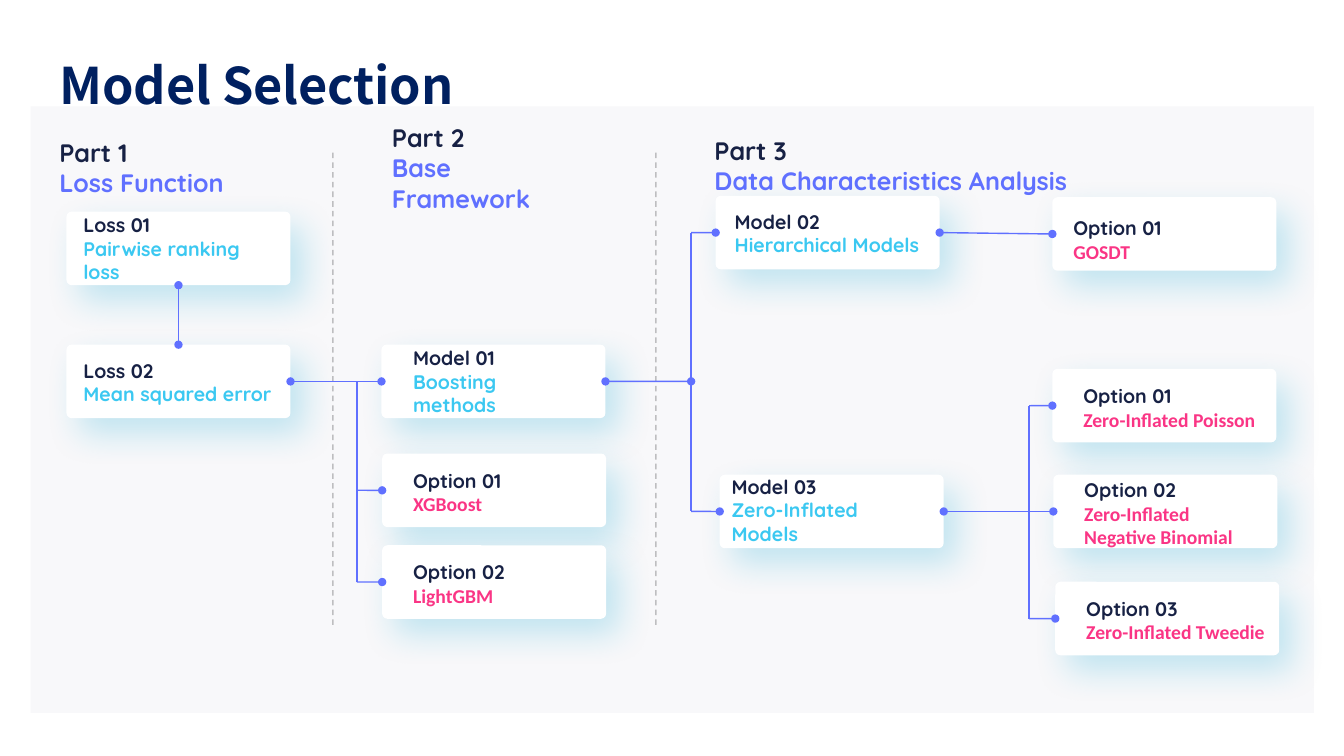
from lxml import etree
from pptx import Presentation
from pptx.dml.color import RGBColor
from pptx.enum.dml import MSO_LINE
from pptx.enum.shapes import MSO_CONNECTOR, MSO_SHAPE
from pptx.enum.text import MSO_ANCHOR, MSO_AUTO_SIZE, PP_ALIGN
from pptx.oxml.ns import qn
from pptx.util import Pt

STRAIGHT = MSO_CONNECTOR.STRAIGHT
DASH = MSO_LINE.DASH
TOP, LEFT, BOTTOM, RIGHT = range(4)
NAVY, VIOLET, CYAN, PINK = "172144", "6070FF", "3BC8F1", "FA3585"
CARD_WIDTH, CARD_HEIGHT = 160, 52.5


def set_colour(fill, colour, opacity=100):
    """Fill an area, a line or text with a hex colour, opacity in percent."""
    fill.solid()
    fill.fore_color.rgb = RGBColor.from_string(colour)
    if opacity < 100:
        colour_element = fill._xPr.find(qn("a:solidFill"))[0]
        etree.SubElement(colour_element, qn("a:alpha"), val=str(opacity * 1000))


def add_label(shapes, box, lines, size, accent, accent_font="Quicksand", first_spacing=1.0):
    """Add a text box with a navy first line and accent lines under it."""
    frame = shapes.add_textbox(*map(Pt, box)).text_frame
    frame.word_wrap = True
    frame.auto_size = MSO_AUTO_SIZE.NONE
    frame.vertical_anchor = MSO_ANCHOR.MIDDLE
    for index, line in enumerate(lines):
        paragraph = frame.add_paragraph() if index else frame.paragraphs[0]
        paragraph.line_spacing = 1.0 if index else first_spacing
        run = paragraph.add_run()
        run.text = line
        name = accent_font if index else "Quicksand"
        for attribute, value in {"name": name, "size": Pt(size), "bold": True}.items():
            setattr(run.font, attribute, value)
        set_colour(run.font.fill, accent if index else NAVY)


presentation = Presentation()
presentation.slide_width = Pt(960)
presentation.slide_height = Pt(540)
slide = presentation.slides.add_slide(presentation.slide_layouts[5])

# Title
title = slide.shapes.title
title.left, title.top, title.width, title.height = map(Pt, (-19.5, -11.5, 405.5, 93.6))
title_frame = title.text_frame
title_format = {
    "margin_left": 0, "margin_top": 0, "margin_right": 0, "margin_bottom": 0,
    "word_wrap": True, "auto_size": MSO_AUTO_SIZE.NONE, "vertical_anchor": MSO_ANCHOR.BOTTOM,
}
for attribute, value in title_format.items():
    setattr(title_frame, attribute, value)
title_paragraph = title_frame.paragraphs[0]
title_paragraph.alignment = PP_ALIGN.CENTER
title_run = title_paragraph.add_run()
title_run.text = "Model Selection"
title_font = {"name": "Noto Sans CJK SC", "size": Pt(36), "bold": True}
for attribute, value in title_font.items():
    setattr(title_run.font, attribute, value)
set_colour(title_run.font.fill, "002060")
title_properties = title_run._r.get_or_add_rPr()
title_properties.set("spc", "-10")
etree.SubElement(title_properties, qn("a:ea"), typeface="Noto Sans CJK SC")

# Panel and column dividers
panel = slide.shapes.add_shape(MSO_SHAPE.RECTANGLE, *map(Pt, (21.9, 75.9, 916.6, 433.4)))
panel.shadow.inherit = False
set_colour(panel.fill, "223063", 3)
panel.line.fill.background()

for x in (237.8, 468.5):
    divider = slide.shapes.add_connector(STRAIGHT, Pt(x), Pt(109), Pt(x), Pt(449))
    divider.line.width = Pt(1)
    set_colour(divider.line.fill, "1A1A1A", 25)
    divider.line.dash_style = DASH
    etree.SubElement(divider._element.spPr, qn("a:effectLst"))

# Column headings
for left, top, width, part, topic in (
    (35.3, 94.3, 134.6, "Part 1", "Loss Function"),
    (272.9, 94.3, 157, "Part 2", "Base Framework"),
    (503.3, 92.9, 269.3, "Part 3", "Data Characteristics Analysis"),
):
    add_label(slide.shapes, (left, top, width, 51), (part, topic), 18, VIOLET)

# Cards: name, left, top, label indent, label width, label shift, lines
CARDS = (
    ("ranking", 47.5, 151.2, 5, 154, 0, ("Loss 01", "Pairwise ranking loss")),
    ("squared", 47.5, 246.2, 5, 150, 0.5, ("Loss 02", "Mean squared error")),
    ("boosting", 272.5, 246.2, 15.5, 136, 0, ("Model 01", "Boosting methods")),
    ("xgboost", 273, 324, 15, 136, -2.9, ("Option 01", "XGBoost")),
    ("lightgbm", 273, 389.5, 15, 136, -3.2, ("Option 02", "LightGBM")),
    ("hierarchical", 511.2, 139.9, 6.5, 152, 0.5, ("Model 02", "Hierarchical Models")),
    ("inflated", 514.1, 339.1, 1.4, 155, -1.2, ("Model 03", "Zero-Inflated Models")),
    ("gosdt", 751.7, 140.9, 7.9, 136, 0, ("Option 01", "GOSDT")),
    ("poisson", 751.7, 263.5, 15, 145, -2.9, ("Option 01", "Zero-Inflated Poisson")),
    ("binomial", 752.4, 339.1, 15, 136, -2.9,
     ("Option 02", "Zero-Inflated", "Negative Binomial")),
    ("tweedie", 753.8, 415.6, 15, 152, -2.9, ("Option 03", "Zero-Inflated Tweedie")),
)
cards = {}
for name, left, top, indent, label_width, shift, lines in CARDS:
    group = slide.shapes.add_group_shape()
    card = group.shapes.add_shape(
        MSO_SHAPE.ROUNDED_RECTANGLE, Pt(left), Pt(top), Pt(CARD_WIDTH), Pt(CARD_HEIGHT))
    card.adjustments[0] = 0.07
    set_colour(card.fill, "FFFFFF")
    card.line.fill.background()
    card.shadow.inherit = False
    shadow = etree.SubElement(
        card._element.spPr.find(qn("a:effectLst")), qn("a:outerShdw"),
        blurRad=str(Pt(25)), dist=str(Pt(14)), dir=str(50 * 60000),
        algn="tl", rotWithShape="0")
    shadow_colour = etree.SubElement(shadow, qn("a:srgbClr"), val="0FA6D2")
    etree.SubElement(shadow_colour, qn("a:alpha"), val="23000")
    cards[name] = card

    is_option = lines[0].startswith("Option")
    label_height = 16 + 17 * len(lines) if is_option else 41
    label_top = top + (CARD_HEIGHT - label_height) / 2 + shift
    box = (left + indent, label_top, label_width, label_height)
    if is_option:
        add_label(group.shapes, box, lines, 14, PINK, "Calibri", 1.5)
    else:
        add_label(group.shapes, box, lines, 14, CYAN)

# Links: each end is a card side or a free point
LINKS = (
    (("ranking", BOTTOM), ("squared", TOP)),
    (("squared", RIGHT), ("boosting", LEFT)),
    ((254.9, 272.4), (254.9, 415.7)),
    ((254.9, 350.2), ("xgboost", LEFT)),
    ((254.9, 415.7), ("lightgbm", LEFT)),
    (("boosting", RIGHT), (493.7, 272.4)),
    ((493.7, 166.2), (493.7, 365.3)),
    ((493.7, 166.2), ("hierarchical", LEFT)),
    ((493.7, 365.3), ("inflated", LEFT)),
    (("hierarchical", RIGHT), ("gosdt", LEFT)),
    (("inflated", RIGHT), ("binomial", LEFT)),
    ((735.1, 289.8), (735.1, 441.9)),
    ((735.1, 289.8), ("poisson", LEFT)),
    ((735.1, 441.9), ("tweedie", LEFT)),
)
for begin, end in LINKS:
    begin_joined, end_joined = begin[0] in cards, end[0] in cards
    begin_point = (0, 0) if begin_joined else begin
    end_point = (0, 0) if end_joined else end
    link = slide.shapes.add_connector(STRAIGHT, *map(Pt, begin_point + end_point))
    if begin_joined:
        link.begin_connect(cards[begin[0]], begin[1])
    if end_joined:
        link.end_connect(cards[end[0]], end[1])
    link.line.width = Pt(1)
    set_colour(link.line.fill, VIOLET)
    line_element = link.line._get_or_add_ln()
    if begin_joined:
        etree.SubElement(line_element, qn("a:headEnd"), type="oval")
    if begin_joined or end_joined:
        etree.SubElement(line_element, qn("a:tailEnd"), type="oval")
    etree.SubElement(link._element.spPr, qn("a:effectLst"))

presentation.save("out.pptx")
